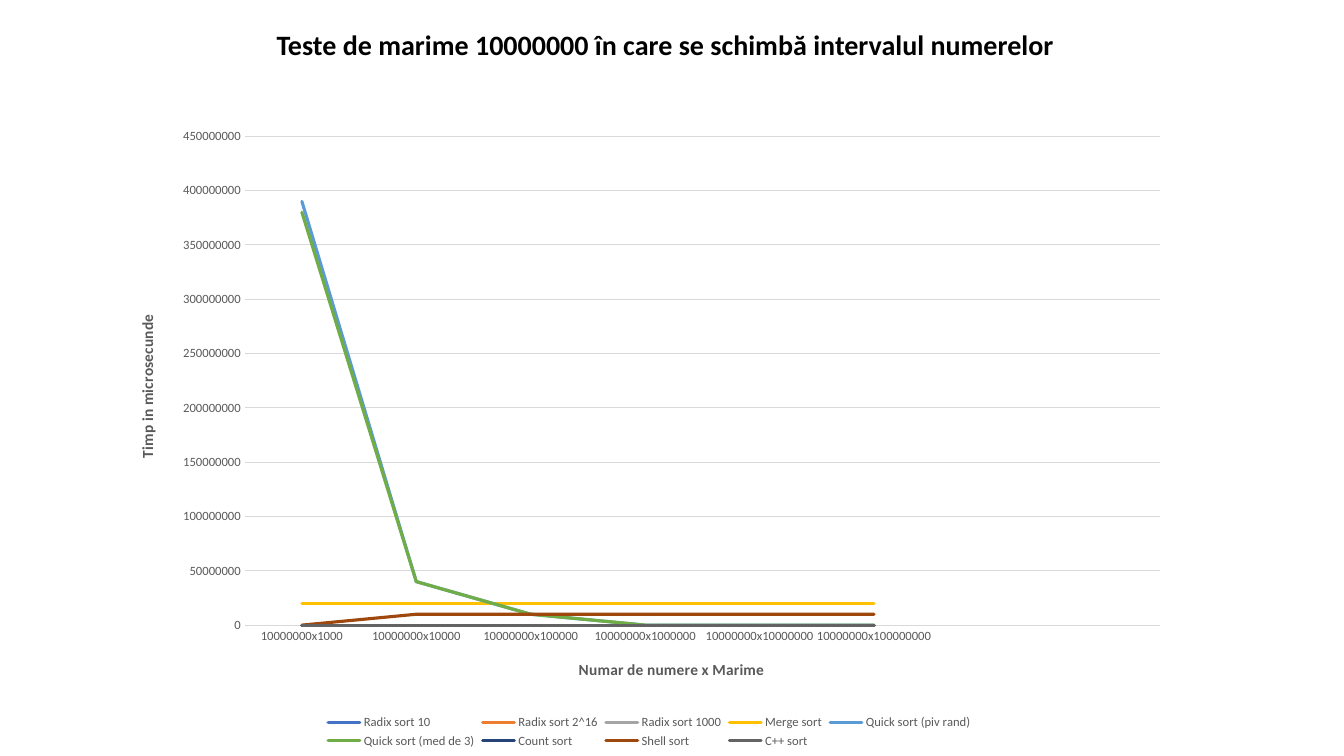
import pptx
import pptx.util
import pptx.chart.data
import pptx.enum.chart
import pptx.enum.text
import pptx.oxml
import pptx.oxml.ns
from pptx.dml.color import RGBColor

WIDE, HIGH = pptx.util.Inches(13.33), pptx.util.Inches(7.5)
FONT = "Calibri"
BLACK = RGBColor(0x00, 0x00, 0x00)
GRAY = RGBColor(0x59, 0x59, 0x59)
PALE = RGBColor(0xD9, 0xD9, 0xD9)
MILLION = 1000000

# The last two places on the axis are empty
SIZES = ["10000000x1" + "0" * n for n in range(3, 9)] + ["", ""]

# Name, line colour, time in millions of microseconds
FLAT = [0] * 6
SORTS = [
    ("Radix sort 10", RGBColor(0x44, 0x72, 0xC4), FLAT),
    ("Radix sort 2^16", RGBColor(0xED, 0x7D, 0x31), FLAT),
    ("Radix sort 1000", RGBColor(0xA5, 0xA5, 0xA5), FLAT),
    ("Merge sort", RGBColor(0xFF, 0xC0, 0x00), [20] * 6),
    ("Quick sort (piv rand)", RGBColor(0x5B, 0x9B, 0xD5), [390, 40, 10, 0, 0, 0]),
    ("Quick sort (med de 3)", RGBColor(0x70, 0xAD, 0x47), [380, 40, 10, 0, 0, 0]),
    ("Count sort", RGBColor(0x26, 0x44, 0x78), FLAT),
    ("Shell sort", RGBColor(0x9E, 0x48, 0x0E), [0] + [10] * 5),
    ("C++ sort", RGBColor(0x63, 0x63, 0x63), FLAT),
]


def style(font, size, color, bold=False):
    font.name, font.size, font.bold = FONT, pptx.util.Pt(size), bold
    font.color.rgb = color


def place(left, top, width, height):
    """Turn shares of the slide into lengths."""
    return int(left * WIDE), int(top * HIGH), int(width * WIDE), int(height * HIGH)


def add_title(slide, text):
    frame = slide.shapes.add_textbox(*place(0.05, 0.03, 0.89, 0.06)).text_frame
    frame.word_wrap = True
    line = frame.paragraphs[0]
    line.text = text
    line.alignment = pptx.enum.text.PP_ALIGN.CENTER
    style(line.font, 20, BLACK, True)


def set_axis(axis, title):
    none = pptx.enum.chart.XL_TICK_MARK.NONE
    axis.major_tick_mark = axis.minor_tick_mark = none
    style(axis.tick_labels.font, 9, GRAY)
    frame = axis.axis_title.text_frame
    frame.text = title
    style(frame.paragraphs[0].font, 11, GRAY, True)


def set_plot(chart, **shares):
    """Fix the inner plot area as shares of the chart."""
    area = chart._chartSpace.chart.plotArea
    for old in area.findall(pptx.oxml.ns.qn("c:layout")):
        area.remove(old)
    parts = "".join(f'<c:{key} val="{val}"/>' for key, val in shares.items())
    area.insert(0, pptx.oxml.parse_xml(
        f'<c:layout {pptx.oxml.ns.nsdecls("c")}><c:manualLayout>'
        '<c:layoutTarget val="inner"/><c:xMode val="edge"/><c:yMode val="edge"/>'
        f'{parts}</c:manualLayout></c:layout>'))


def add_lines(slide):
    data = pptx.chart.data.CategoryChartData(number_format="General")
    data.categories = SIZES
    for name, _, times in SORTS:
        data.add_series(name, [t * MILLION for t in times] + [None, None])
    kind = pptx.enum.chart.XL_CHART_TYPE.LINE
    chart = slide.shapes.add_chart(kind, *place(0.087, 0.155, 0.792, 0.84), data).chart
    chart.has_title = False
    style(chart.font, 10, BLACK)

    # Axes and grid
    across, up = chart.category_axis, chart.value_axis
    set_axis(across, "Numar de numere x Marime")
    set_axis(up, "Timp in microsecunde")
    up.minimum_scale, up.maximum_scale, up.major_unit = 0, 450 * MILLION, 50 * MILLION
    up.format.line.fill.background()
    for line in (across.format.line, up.major_gridlines.format.line):
        line.color.rgb, line.width = PALE, pptx.util.Pt(0.75)
    set_plot(chart, x=0.12, y=0.03, w=0.86, h=0.77)

    # Legend
    chart.has_legend = True
    chart.legend.position = pptx.enum.chart.XL_LEGEND_POSITION.BOTTOM
    chart.legend.include_in_layout = False
    style(chart.legend.font, 9, GRAY)

    # Series lines with round ends
    chart.plots[0].vary_by_categories = False
    for series, (_, color, _) in zip(chart.plots[0].series, SORTS):
        series.smooth = False
        line = series.format.line
        line.color.rgb, line.width = color, pptx.util.Pt(2.25)
        line._get_or_add_ln().set("cap", "rnd")


def main():
    deck = pptx.Presentation()
    deck.slide_width, deck.slide_height = WIDE, HIGH
    slide = deck.slides.add_slide(deck.slide_layouts[6])
    add_title(slide, "Teste de marime 10000000 în care se schimbă intervalul numerelor")
    add_lines(slide)
    deck.save("out.pptx")


if __name__ == "__main__":
    main()
